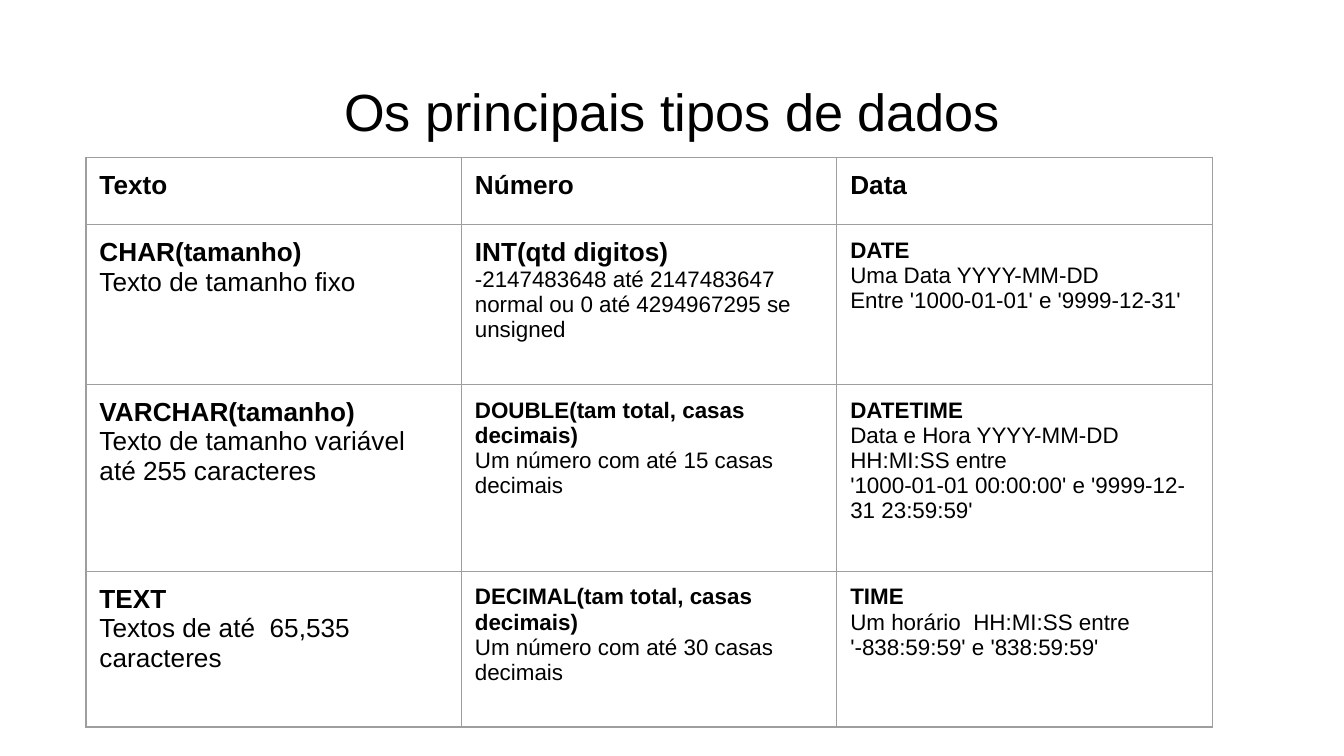
from lxml.etree import SubElement
from pptx import Presentation
from pptx.dml.color import RGBColor
from pptx.enum.text import MSO_ANCHOR, MSO_AUTO_SIZE, PP_ALIGN
from pptx.oxml.ns import qn
from pptx.util import Inches, Pt

TITLE = "Os principais tipos de dados"
HEADERS = ["Texto", "Número", "Data"]
DATA_TYPES = [
    [
        ["CHAR(tamanho)", "Texto de tamanho fixo"],
        ["INT(qtd digitos)", "-2147483648 até 2147483647 normal ou 0 até 4294967295 se  unsigned"],
        ["DATE", "Uma Data YYYY-MM-DD", "Entre '1000-01-01' e '9999-12-31'"],
    ],
    [
        ["VARCHAR(tamanho)", "Texto de tamanho variável até 255 caracteres"],
        ["DOUBLE(tam total, casas decimais)", "Um número com até 15 casas decimais"],
        [
            "DATETIME",
            "Data e Hora YYYY-MM-DD HH:MI:SS entre",
            "'1000-01-01 00:00:00' e '9999-12-31 23:59:59'",
        ],
    ],
    [
        ["TEXT", "Textos de até  65,535 caracteres"],
        ["DECIMAL(tam total, casas decimais)", "Um número com até 30 casas decimais"],
        ["TIME", "Um horário  HH:MI:SS entre", "'-838:59:59' e '838:59:59'"],
    ],
]
LARGE_NAMES = {"INT(qtd digitos)"}

THEME = {
    "font": "Arial",
    "text": RGBColor(0, 0, 0),
    "background": RGBColor(255, 255, 255),
    "border": "9E9E9E",
    "border_width": Pt(0.75),
    "title": 28,
    "large": 14,
    "small": 12,
    "margin": Inches(0.1),
}
SLIDE_WIDTH = 10
SLIDE_HEIGHT = SLIDE_WIDTH * 9 / 16
TABLE_WIDTH = 8.38
ROW_HEIGHTS = [0.5, 1.19, 1.39, 1.16]


def set_margins(target):
    for side in ("left", "right", "top", "bottom"):
        setattr(target, f"margin_{side}", THEME["margin"])


def format_paragraph(paragraph, size, bold=False):
    for run in paragraph.runs:
        font = run.font
        font.name = THEME["font"]
        font.size = Pt(size)
        font.bold = bold
        font.color.rgb = THEME["text"]


def add_borders(cell):
    properties = cell._tc.get_or_add_tcPr()
    for position, side in enumerate(("lnL", "lnR", "lnT", "lnB")):
        line = SubElement(properties, qn(f"a:{side}"), w=str(THEME["border_width"]))
        fill = SubElement(line, qn("a:solidFill"))
        SubElement(fill, qn("a:srgbClr"), val=THEME["border"])
        properties.insert(position, line)


def fill_cell(cell, lines, name_size, detail_size):
    set_margins(cell)
    cell.vertical_anchor = MSO_ANCHOR.TOP
    cell.fill.background()
    add_borders(cell)
    cell.text_frame.text = "\n".join(lines)
    for index, paragraph in enumerate(cell.text_frame.paragraphs):
        is_name = index == 0
        format_paragraph(paragraph, name_size if is_name else detail_size, is_name)


def add_title(slide):
    title = slide.shapes.title
    title.left, title.top = Inches(0.34), Inches(0.49)
    title.width, title.height = Inches(9.32), Inches(0.63)
    frame = title.text_frame
    frame.text = TITLE
    frame.word_wrap = True
    frame.auto_size = MSO_AUTO_SIZE.NONE
    frame.vertical_anchor = MSO_ANCHOR.TOP
    set_margins(frame)
    frame.paragraphs[0].alignment = PP_ALIGN.CENTER
    format_paragraph(frame.paragraphs[0], THEME["title"])


def add_type_table(slide):
    rows = [[[header] for header in HEADERS]] + DATA_TYPES
    table = slide.shapes.add_table(
        len(rows), len(HEADERS), Inches(0.64), Inches(1.17),
        Inches(TABLE_WIDTH), Inches(sum(ROW_HEIGHTS)),
    ).table
    table.first_row = False
    table.horz_banding = False
    for row_index, row in enumerate(rows):
        table.rows[row_index].height = Inches(ROW_HEIGHTS[row_index])
        for column_index, lines in enumerate(row):
            detail_size = THEME["large" if column_index == 0 else "small"]
            is_large = row_index == 0 or lines[0] in LARGE_NAMES
            name_size = THEME["large"] if is_large else detail_size
            fill_cell(table.cell(row_index, column_index), lines, name_size, detail_size)


def main():
    presentation = Presentation()
    presentation.slide_width = Inches(SLIDE_WIDTH)
    presentation.slide_height = Inches(SLIDE_HEIGHT)
    slide = presentation.slides.add_slide(presentation.slide_layouts[5])
    slide.background.fill.solid()
    slide.background.fill.fore_color.rgb = THEME["background"]
    add_title(slide)
    add_type_table(slide)
    presentation.save("out.pptx")


if __name__ == "__main__":
    main()
